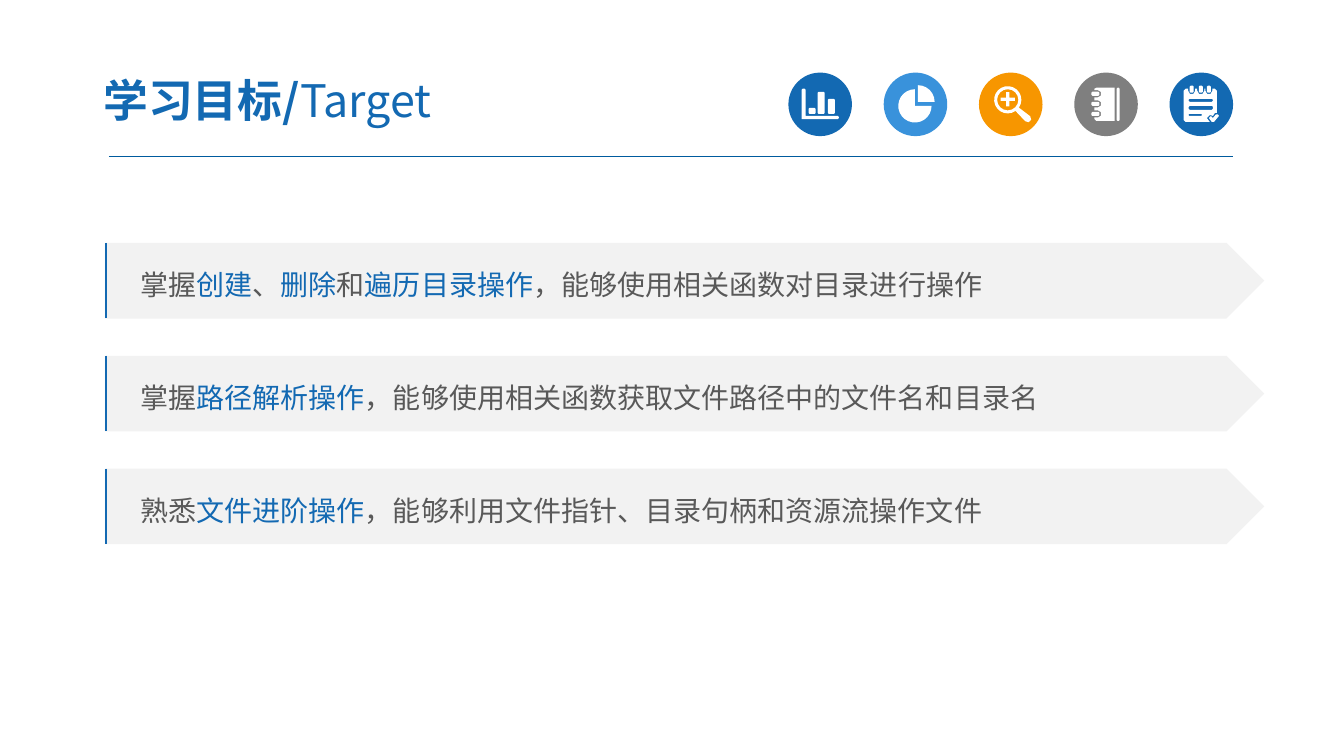
from dataclasses import dataclass
from math import cos, radians, sin

from lxml.etree import SubElement
from pptx import Presentation
from pptx.dml.color import RGBColor
from pptx.enum.shapes import MSO_CONNECTOR as Connector, MSO_SHAPE as Preset
from pptx.enum.text import MSO_ANCHOR as Anchor, PP_ALIGN as Align
from pptx.oxml.ns import qn
from pptx.util import Inches, Pt

FONT = "Noto Sans CJK SC"
BLUE, SKY, ORANGE, GRAY, WHITE = "1369B2", "3992DB", "F79600", "7F7F7F", "FFFFFF"
RULE, PANEL, BODY = "005B9E", "F2F2F2", "595959"

WIDTH, HEIGHT = Inches(13.33), Inches(7.5)
BADGE_CELLS = 63  # each badge is a 63 x 63 grid on which its icon is drawn
ARC_STEP = 4  # longest straight piece of an arc, in cells

Point = tuple[float, float]
Contour = list[Point]


@dataclass(frozen=True)
class Span:
    text: str
    color: str = BODY
    bold: bool = False


@dataclass(frozen=True)
class Badge:
    color: str
    icon: list[Contour]


def across(percent: float) -> int:
    return round(WIDTH * percent / 100)


def down(percent: float) -> int:
    return round(HEIGHT * percent / 100)


def rgb(color: str) -> RGBColor:
    return RGBColor.from_string(color)


def arc(x: float, y: float, radius: float, start: float, end: float) -> Contour:
    """Points on an arc; angles in degrees, clockwise from the right."""
    steps = max(2, round(radius * radians(abs(end - start)) / ARC_STEP))
    angles = [radians(start + (end - start) * i / steps) for i in range(steps + 1)]
    return [(x + radius * cos(a), y + radius * sin(a)) for a in angles]


def bar(left: float, top: float, right: float, bottom: float, cut: float = 1) -> Contour:
    """A rectangle with its corners cut off."""
    return [(left, top + cut), (left + cut, top), (right - cut, top), (right, top + cut),
            (right, bottom - cut), (right - cut, bottom), (left + cut, bottom), (left, bottom - cut)]


def bar_chart_icon() -> list[Contour]:
    axes = [(13, 17), (14, 16), (16, 16), (17, 17), (17, 43),
            (49, 43), (50, 44), (50, 45), (49, 46), (13, 46)]
    tops = {20: 35, 29: 19, 39: 26}
    return [axes] + [bar(x, top, x + 7, 41) for x, top in tops.items()]


def pie_icon() -> list[Contour]:
    return [arc(31, 33, 16.5, 0, 270) + [(31, 33)],
            arc(34, 29, 16.5, 270, 360) + [(34, 29)]]


def magnifier_icon() -> list[Contour]:
    x, y, arm, half = 28.5, 26.5, 7, 1.6
    plus = [(x - arm, y - half), (x - half, y - half), (x - half, y - arm),
            (x + half, y - arm), (x + half, y - half), (x + arm, y - half),
            (x + arm, y + half), (x + half, y + half), (x + half, y + arm),
            (x - half, y + arm), (x - half, y + half), (x - arm, y + half)]
    rim = arc(x, 27, 13.5, 55, 395) + arc(48.3, 45.8, 3.5, -45, 135)
    return [rim, arc(x, 27, 10.5, 0, 360), plus]


def notebook_icon() -> list[Contour]:
    rings = (41, 31, 21)
    cover = [(40, 15), (40, 48), (22, 48), (20, 46)]
    for y in rings:
        cover += [(20, y + 3.5), *arc(23.5, y, 3.5, 90, -90), (20, y - 3.5)]
    cover += [(20, 16), (22, 15)]
    return [cover, bar(42, 15, 45, 48)] + [bar(17, y - 2, 25, y + 2) for y in rings]


def checklist_icon() -> list[Contour]:
    rings = (22, 31, 39)
    sheet = [(14, 18), (16, 16)]
    for x in rings:
        sheet += [(x - 3.5, 16), *arc(x, 18, 3.5, 180, 0), (x + 3.5, 16)]
    sheet += [(45, 16), (47, 18), (47, 40), (45, 40), (43, 43), (40, 42),
              (37, 45), (40, 49), (16, 49), (14, 47)]
    check = [(39, 45), (41, 43), (43, 45), (46, 41.5), (48, 41.5), (49, 43), (44, 49), (42, 49)]
    lines = [bar(19, 26, 43, 29), bar(19, 33, 43, 37), bar(19, 41, 32, 43, 0.5)]
    return [sheet, check, *lines] + [bar(x - 2, 13, x + 2, 20) for x in rings]


BADGES = [
    Badge(BLUE, bar_chart_icon()),
    Badge(SKY, pie_icon()),
    Badge(ORANGE, magnifier_icon()),
    Badge(GRAY, notebook_icon()),
    Badge(BLUE, checklist_icon()),
]

TITLE = [Span("学习目标/", BLUE, True), Span("Target", BLUE)]

GOALS = [
    [Span("掌握"), Span("创建", BLUE), Span("、"), Span("删除", BLUE), Span("和"),
     Span("遍历目录操作", BLUE), Span("，能够使用相关函数对目录进行操作")],
    [Span("掌握"), Span("路径解析操作", BLUE),
     Span("，能够使用相关函数获取文件路径中的文件名和目录名")],
    [Span("熟悉"), Span("文件进阶操作", BLUE),
     Span("，能够利用文件指针、目录句柄和资源流操作文件")],
]


def paint(shape, color: str) -> None:
    shape.shadow.inherit = False
    shape.fill.solid()
    shape.fill.fore_color.rgb = rgb(color)
    shape.line.fill.background()


def write(frame, spans: list[Span], size: float, spacing: float = 1.0) -> None:
    frame.word_wrap = True
    frame.vertical_anchor = Anchor.MIDDLE
    para = frame.paragraphs[0]
    para.alignment = Align.LEFT
    para.line_spacing = spacing
    para.font.size = Pt(size)
    para.font.name = FONT
    defaults = para._p.pPr.find(qn("a:defRPr"))
    SubElement(defaults, qn("a:ea")).set("typeface", FONT)
    for span in spans:
        run = para.add_run()
        run.text = span.text
        run.font.bold = span.bold
        run.font.color.rgb = rgb(span.color)


def draw_line(page, start: Point, end: Point, color: str, weight: float) -> None:
    line = page.shapes.add_connector(Connector.STRAIGHT, *start, *end)
    line.line.color.rgb = rgb(color)
    line.line.width = Pt(weight)
    SubElement(line._element.spPr, qn("a:effectLst"))


def draw_badge(page, badge: Badge, left: int, top: int, size: int) -> None:
    paint(page.shapes.add_shape(Preset.OVAL, left, top, size, size), badge.color)
    cell = size / BADGE_CELLS
    contours = [[(left + x * cell, top + y * cell) for x, y in contour] for contour in badge.icon]
    builder = page.shapes.build_freeform(*contours[0][0])
    for contour in contours:
        if contour is not contours[0]:
            builder.move_to(*contour[0])
        builder.add_line_segments(contour[1:], close=True)
    paint(builder.convert_to_shape(), WHITE)


def draw_goal(page, spans: list[Span], top: int) -> None:
    height = down(10)
    panel = page.shapes.add_shape(Preset.PENTAGON, across(7.8), top, across(86.27), height)
    paint(panel, PANEL)
    panel.text_frame.margin_left = across(2.65)
    write(panel.text_frame, spans, 20, 1.2)
    edge = across(7.92)
    draw_line(page, (edge, top), (edge, top + height), BLUE, 1.5)


def main() -> None:
    deck = Presentation()
    deck.slide_width, deck.slide_height = WIDTH, HEIGHT
    page = deck.slides.add_slide(deck.slide_layouts[6])

    draw_line(page, (across(8.1), down(20.67)), (across(91.75), down(20.67)), RULE, 0.75)
    for column, badge in enumerate(BADGES):
        draw_badge(page, badge, across(58.66 + 7.09 * column), down(9.6), across(4.73))

    title = page.shapes.add_textbox(across(6.68), down(8.4), across(39.16), down(9.6))
    title.text_frame.margin_left = title.text_frame.margin_right = across(1)
    write(title.text_frame, TITLE, 32)

    for row, spans in enumerate(GOALS):
        draw_goal(page, spans, down(32.13 + 14.93 * row))
    deck.save("out.pptx")


if __name__ == "__main__":
    main()
